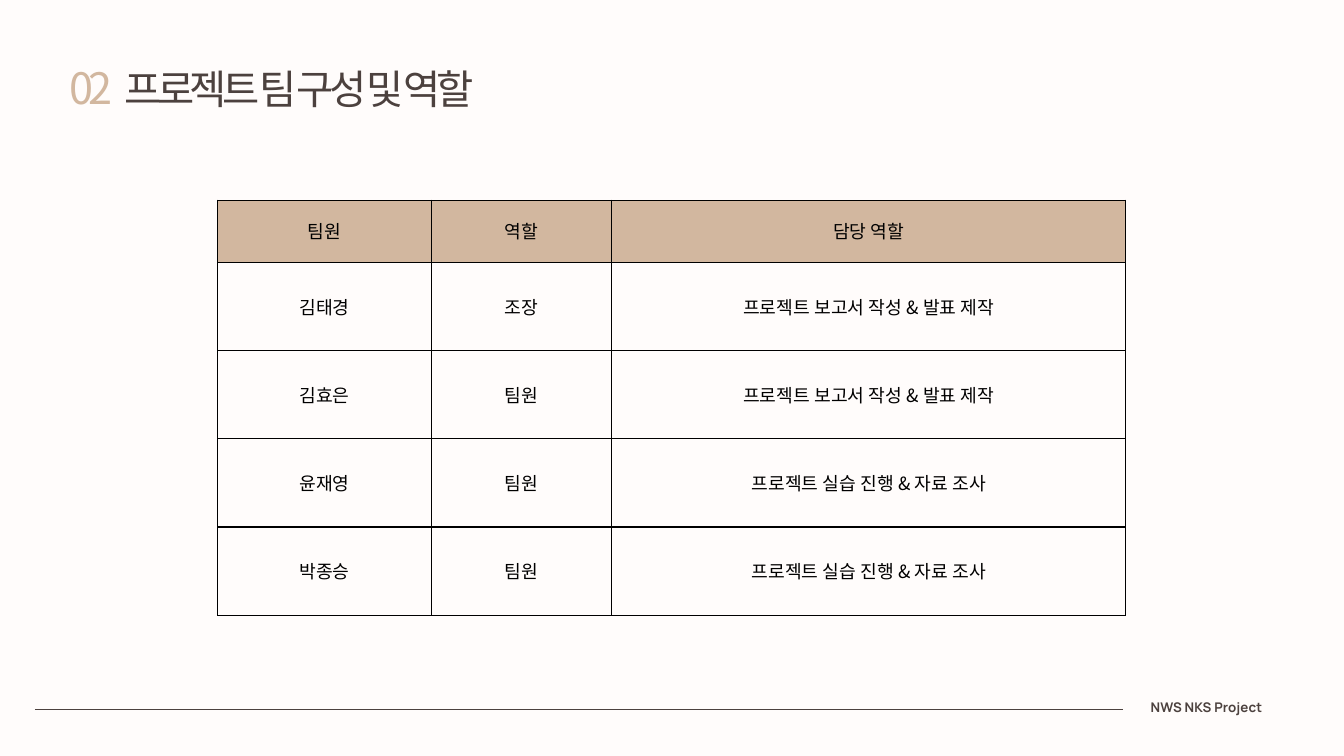
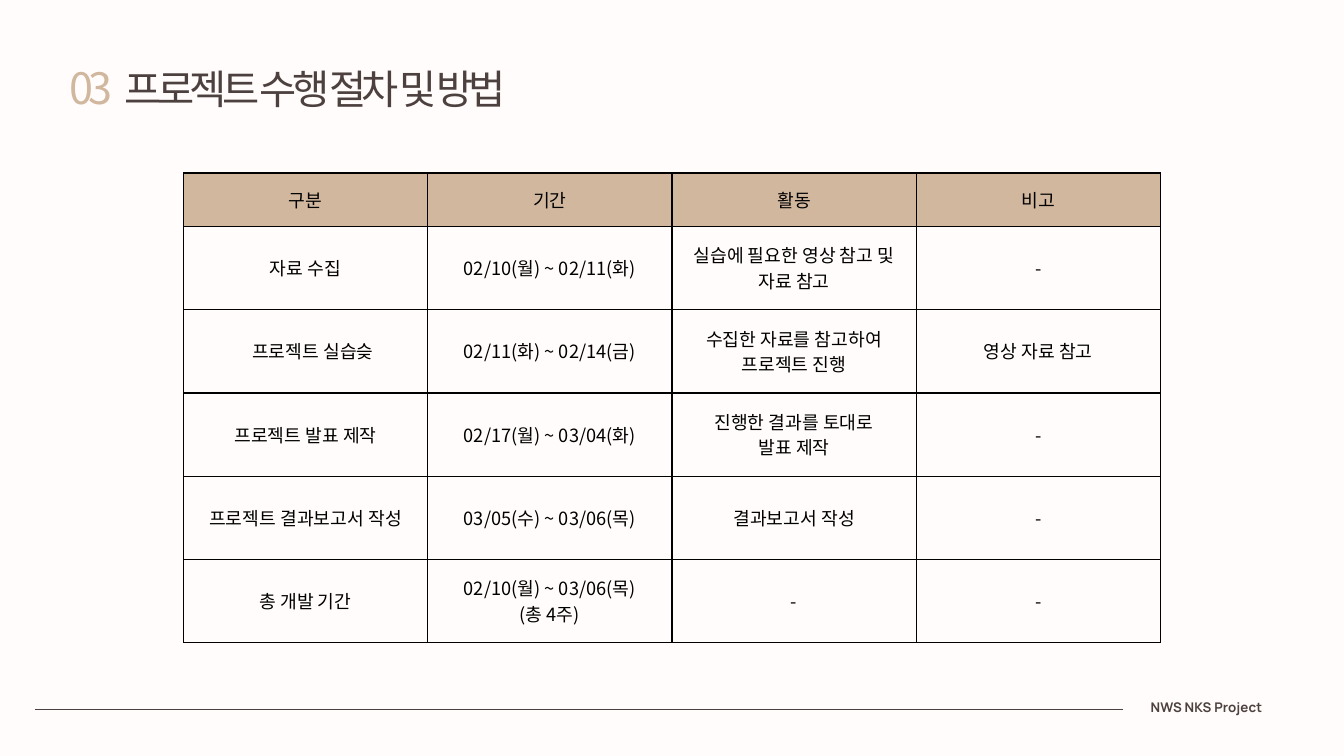
import pptx
import pptx.dml.color
import pptx.enum.shapes
import pptx.enum.text
import pptx.oxml.ns
import pptx.util
from lxml import etree

CREAM, BROWN, SAND, BLACK = "FFFCFB", "4C413E", "D2B79F", "000000"
KOREAN, LATIN = "Noto Sans CJK KR", "Manrope"
CENTER = pptx.enum.text.PP_ALIGN.CENTER
LEFT = pptx.enum.text.PP_ALIGN.LEFT
FOOTER = "NWS NKS Project"
EMU_PER_PX = 9525
qn = pptx.oxml.ns.qn

SLIDES = [
    {
        "number": "02",
        "title": "프로젝트 팀 구성 및 역할",
        "title_width": 552,
        "table_at": (311, 286),
        "columns": [305, 258, 734],
        "header_height": 89,
        "row_height": 126,
        "rows": [
            ["팀원", "역할", "담당 역할"],
            ["김태경", "조장", "프로젝트 보고서 작성 & 발표 제작"],
            ["김효은", "팀원", "프로젝트 보고서 작성 & 발표 제작"],
            ["윤재영", "팀원", "프로젝트 실습 진행 & 자료 조사"],
            ["박종승", "팀원", "프로젝트 실습 진행 & 자료 조사"],
        ],
    },
    {
        "number": "03",
        "title": "프로젝트 수행 절차 및 방법",
        "title_width": 604,
        "table_at": (262, 247),
        "columns": [349] * 4,
        "header_height": 76,
        "row_height": 119,
        "rows": [
            ["구분", "기간", "활동", "비고"],
            ["자료 수집", "02/10(월) ~ 02/11(화)", "실습에 필요한 영상 참고 및 자료 참고", "-"],
            ["프로젝트 실습슺", "02/11(화) ~ 02/14(금)", "수집한 자료를 참고하여\n프로젝트 진행", "영상 자료 참고"],
            ["프로젝트 발표 제작", "02/17(월) ~ 03/04(화)", "진행한 결과를 토대로\n발표 제작", "-"],
            ["프로젝트 결과보고서 작성", "03/05(수) ~ 03/06(목)", "결과보고서 작성", "-"],
            ["총 개발 기간", "02/10(월) ~ 03/06(목)\n(총 4주)", "-", "-"],
        ],
    },
]


def rgb(color):
    return pptx.dml.color.RGBColor.from_string(color)


def write(tf, text, size, leading, color, name=KOREAN, align=CENTER, spacing=0, bold=False):
    """Fill a text frame, one paragraph per line; spacing is in hundredths of a point."""
    tf.text = text
    for p in tf.paragraphs:
        p.alignment = align
        p.line_spacing = pptx.util.Pt(leading)
        p.font.size = pptx.util.Pt(size)
        p.font.bold = bold
        p.font.color.rgb = rgb(color)
        p.font.name = name
        props = p._p.pPr.find(qn("a:defRPr"))
        props.set("spc", str(spacing))
        etree.SubElement(props, qn("a:ea"), typeface=name)


prs = pptx.Presentation()
prs.slide_width = 1920 * EMU_PER_PX
prs.slide_height = 1080 * EMU_PER_PX

for content in SLIDES:
    s = prs.slides.add_slide(prs.slide_layouts[6])
    s.background.fill.solid()
    s.background.fill.fore_color.rgb = rgb(CREAM)

    x1, y1, x2, y2 = [v * EMU_PER_PX for v in (50, 1014, 1605, 1014)]
    rule = s.shapes.add_connector(pptx.enum.shapes.MSO_CONNECTOR.STRAIGHT, x1, y1, x2, y2)
    rule.line.color.rgb = rgb(BROWN)
    rule.line.width = pptx.util.Pt(1.5)
    etree.SubElement(rule._element.spPr, qn("a:effectLst"))

    labels = [
        ((178, 105, content["title_width"], 60), content["title"],
         dict(size=43.3, leading=41.6, color=BROWN, align=LEFT, spacing=-490)),
        ((99, 103, 87, 63), content["number"],
         dict(size=46.3, leading=44.4, color=SAND, align=LEFT, spacing=-520)),
        ((1572, 1006, 303, 17), FOOTER,
         dict(size=14.3, leading=11.9, color=BROWN, name=LATIN, spacing=10, bold=True)),
    ]
    for box, text, style in labels:
        tf = s.shapes.add_textbox(*[v * EMU_PER_PX for v in box]).text_frame
        tf.margin_left = tf.margin_right = tf.margin_top = tf.margin_bottom = 0
        tf.word_wrap = True
        tf.auto_size = pptx.enum.text.MSO_AUTO_SIZE.SHAPE_TO_FIT_TEXT
        write(tf, text, **style)

    rows, columns = content["rows"], content["columns"]
    heights = [content["header_height"]] + [content["row_height"]] * (len(rows) - 1)
    frame = (*content["table_at"], sum(columns), sum(heights))
    table = s.shapes.add_table(len(rows), len(columns), *[v * EMU_PER_PX for v in frame]).table
    table.first_row = table.horz_banding = False
    for column, width in zip(table.columns, columns):
        column.width = width * EMU_PER_PX
    for row, height, texts in zip(table.rows, heights, rows):
        row.height = height * EMU_PER_PX
        for cell, text in zip(row.cells, texts):
            cell.margin_left = cell.margin_right = 20 * EMU_PER_PX
            cell.margin_top = cell.margin_bottom = 20 * EMU_PER_PX
            cell.vertical_anchor = pptx.enum.text.MSO_ANCHOR.MIDDLE
            write(cell.text_frame, text, size=19.5, leading=27.3, color=BLACK)
            for side in ("a:lnL", "a:lnR", "a:lnT", "a:lnB"):
                border = etree.SubElement(cell._tc.tcPr, qn(side), w=str(pptx.util.Pt(1.5)))
                fill = etree.SubElement(border, qn("a:solidFill"))
                etree.SubElement(fill, qn("a:srgbClr"), val=BLACK)
            if texts is rows[0]:
                cell.fill.solid()
                cell.fill.fore_color.rgb = rgb(SAND)
            else:
                cell.fill.background()
            if text == "프로젝트 실습슺":
                cell.margin_left = 41 * EMU_PER_PX

prs.save("out.pptx")
